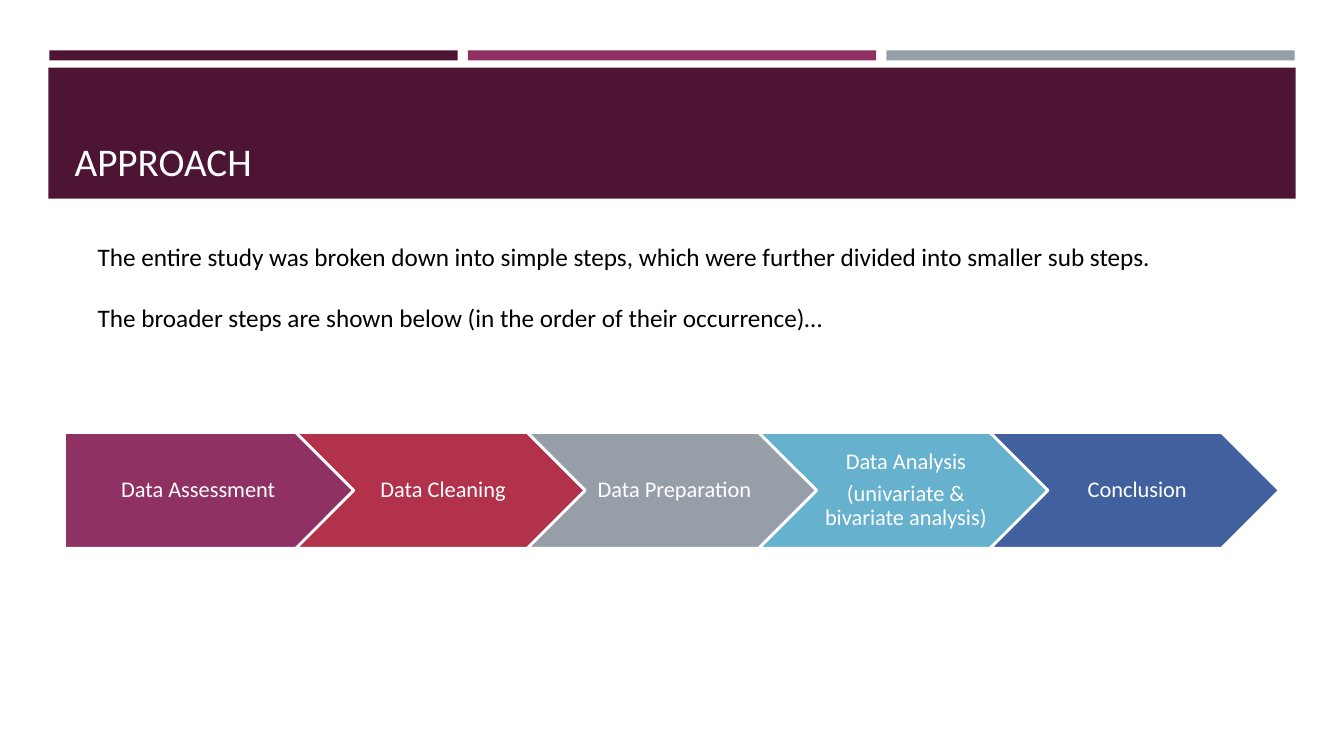
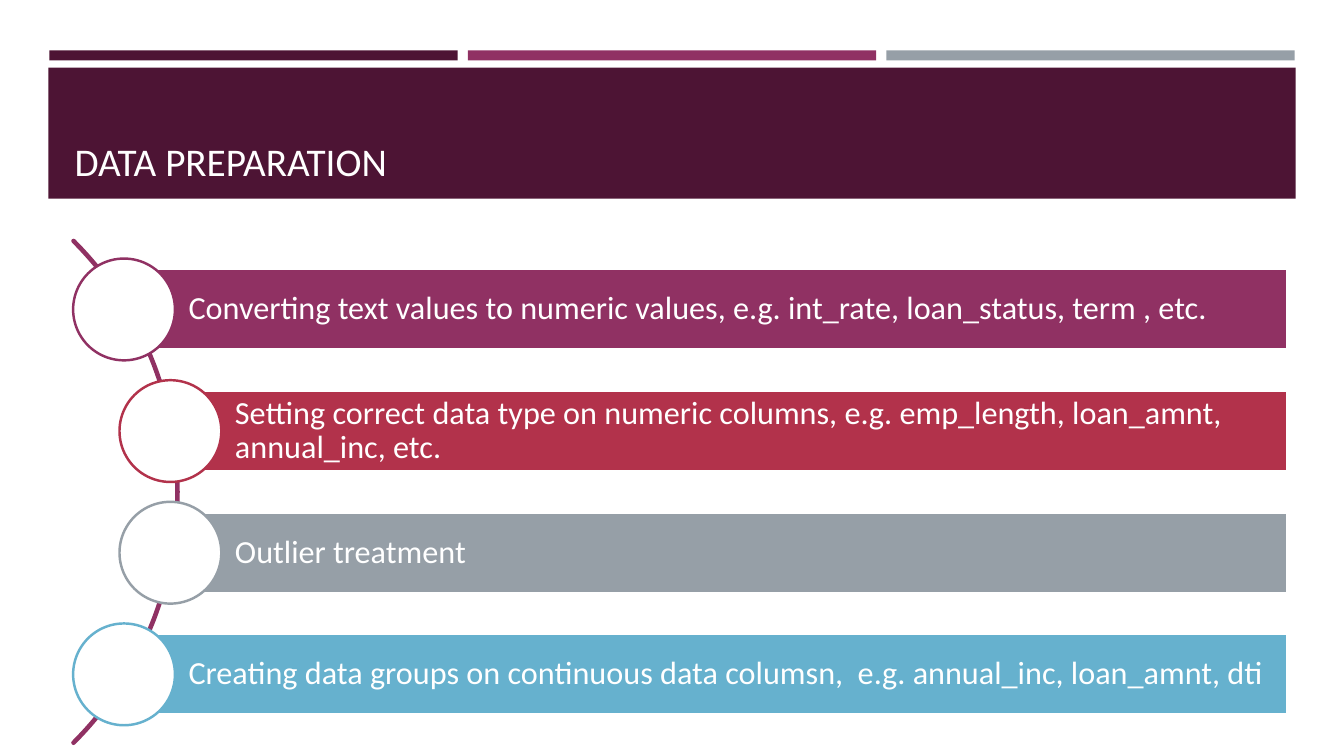
from math import cos, radians, sin

from pptx import Presentation
from pptx.dml.color import RGBColor
from pptx.enum.shapes import MSO_SHAPE
from pptx.enum.text import MSO_ANCHOR, PP_ALIGN
from pptx.oxml.ns import qn
from pptx.util import Emu, Pt

# Content
INTRO = [
    "The entire study was broken down into simple steps, which were further divided into smaller sub steps.",
    "The broader steps are shown below (in the order of their occurrence)…",
]
STEPS = [
    ["Data Assessment"],
    ["Data Cleaning"],
    ["Data Preparation"],
    ["Data Analysis", "(univariate & bivariate analysis)"],
    ["Conclusion"],
]
TASKS = [
    "Converting text values to numeric values, e.g. int_rate, loan_status, term , etc.",
    "Setting correct data type on numeric columns, e.g. emp_length, loan_amnt, annual_inc, etc.",
    "Outlier treatment",
    "Creating data groups on continuous data columsn,  e.g. annual_inc, loan_amnt, dti",
]

# Shared style
FONT = "Calibri"
WHITE, BLACK, DARK = "FFFFFF", "000000", "4D1434"
PLUM, RED, GRAY, SKY, BLUE = HUES = ["903163", "B2324B", "969FA7", "66B1CE", "40619D"]
PX = 9144  # 100 px to the inch


def px(n):
    return Emu(round(n * PX))


def rgb(code):
    return RGBColor.from_string(code)


def write(frame, paras, size, color=WHITE, align=PP_ALIGN.LEFT, anchor=MSO_ANCHOR.MIDDLE,
          inset=(10, 5, 10, 5), lead=1.0, before=0, after=0):
    frame.word_wrap = True
    frame.vertical_anchor = anchor
    (frame.margin_left, frame.margin_top,
     frame.margin_right, frame.margin_bottom) = map(px, inset)
    for i, text in enumerate(paras):
        para = frame.add_paragraph() if i else frame.paragraphs[0]
        para.alignment, para.line_spacing = align, lead
        para.space_before, para.space_after = Pt(before if i else 0), Pt(after)
        run = para.add_run()
        run.text = text
        run.font.name, run.font.size = FONT, Pt(size)
        run.font.color.rgb = rgb(color)


def draw(slide, kind, box, fill, line=None, width=1.75):
    shape = slide.shapes.add_shape(kind, *map(px, box))
    shape.shadow.inherit = False
    shape.fill.solid()
    shape.fill.fore_color.rgb = rgb(fill)
    if line:
        shape.line.color.rgb = rgb(line)
        shape.line.width = Pt(width)
    else:
        shape.line.fill.background()
    return shape


def brand(slide, layout):
    """Put the bands behind everything on the layout and place its title."""
    bands = [((49 + 415 * i, 50, 405, 10), hue) for i, hue in enumerate([DARK, PLUM, GRAY])]
    bands.append(((48, 67, 1237, 130), DARK))
    for i, (box, hue) in enumerate(bands):
        node = draw(slide, MSO_SHAPE.RECTANGLE, box, hue).element
        node.xpath("./p:nvSpPr/p:cNvPr")[0].set("id", str(20 + i))
        layout.shapes.element.insert(2 + i, node)
    title = layout.placeholders[0]
    title.left, title.top, title.width, title.height = map(px, (64, 77, 1206, 111))


def start(deck, layout, title):
    slide = deck.slides.add_slide(layout)
    write(slide.shapes.title.text_frame, [title], 28, anchor=MSO_ANCHOR.BOTTOM)
    return slide


def approach(slide):
    # Arrow chain
    first, last = 64, 982
    gap = (last - first) / (len(STEPS) - 1)
    for i, (step, hue) in enumerate(zip(STEPS, HUES)):
        kind = MSO_SHAPE.CHEVRON if i else MSO_SHAPE.PENTAGON
        arrow = draw(slide, kind, (first + i * gap, 429, 287, 115), hue, WHITE, 2)
        write(arrow.text_frame, step, 16, align=PP_ALIGN.CENTER,
              inset=(7 if i else 9, 5, 2, 5), lead=0.9, after=5.6)
    # Introduction
    intro = slide.shapes.add_textbox(*map(px, (87, 234, 1084, 101)))
    write(intro.text_frame, INTRO, 18, BLACK, anchor=MSO_ANCHOR.TOP, before=22)


def prepare(slide):
    # Curve behind the circles
    midx, midy, rad = -176, 488, 352
    dots = [(px(midx + rad * cos(radians(a))), px(midy + rad * sin(radians(a))))
            for a in range(-45, 46)]
    pen = slide.shapes.build_freeform(*dots[0])
    pen.add_line_segments(dots[1:], close=False)
    curve = pen.convert_to_shape()
    curve.shadow.inherit = False
    curve.fill.background()
    curve.line.color.rgb = rgb(PLUM)
    curve.line.width = Pt(3.25)
    curve.element.spPr.find(qn("a:ln")).set("cap", "rnd")
    # Bars, each with a circle centred on its left end
    first, last, right, high, size = 267, 629, 1277, 80, 101
    gap = (last - first) / (len(TASKS) - 1)
    for i, (task, hue) in enumerate(zip(TASKS, HUES)):
        left = 123 if i in (0, len(TASKS) - 1) else 169
        top = first + i * gap
        bar = draw(slide, MSO_SHAPE.RECTANGLE, (left, top, right - left, high), hue, WHITE)
        write(bar.text_frame, [task], 23, inset=(64, 6, 6, 6), lead=0.9, after=8)
        draw(slide, MSO_SHAPE.OVAL,
             (left - size / 2, top + (high - size) / 2, size, size), WHITE, hue)


def main():
    deck = Presentation()
    deck.slide_width, deck.slide_height = px(1333), px(750)
    layout = deck.slide_layouts[5]
    slide = start(deck, layout, "APPROACH")
    brand(slide, layout)
    approach(slide)
    prepare(start(deck, layout, "DATA PREPARATION"))
    deck.save("out.pptx")


if __name__ == "__main__":
    main()
